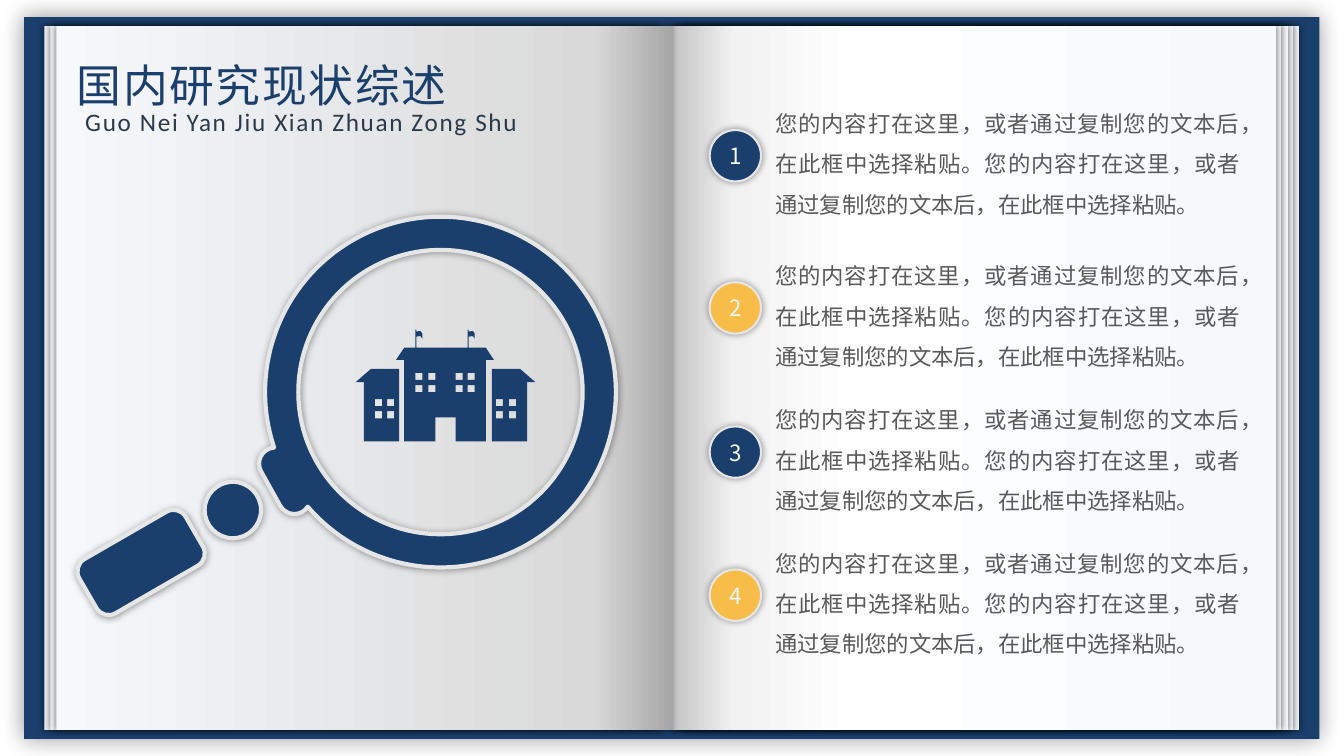
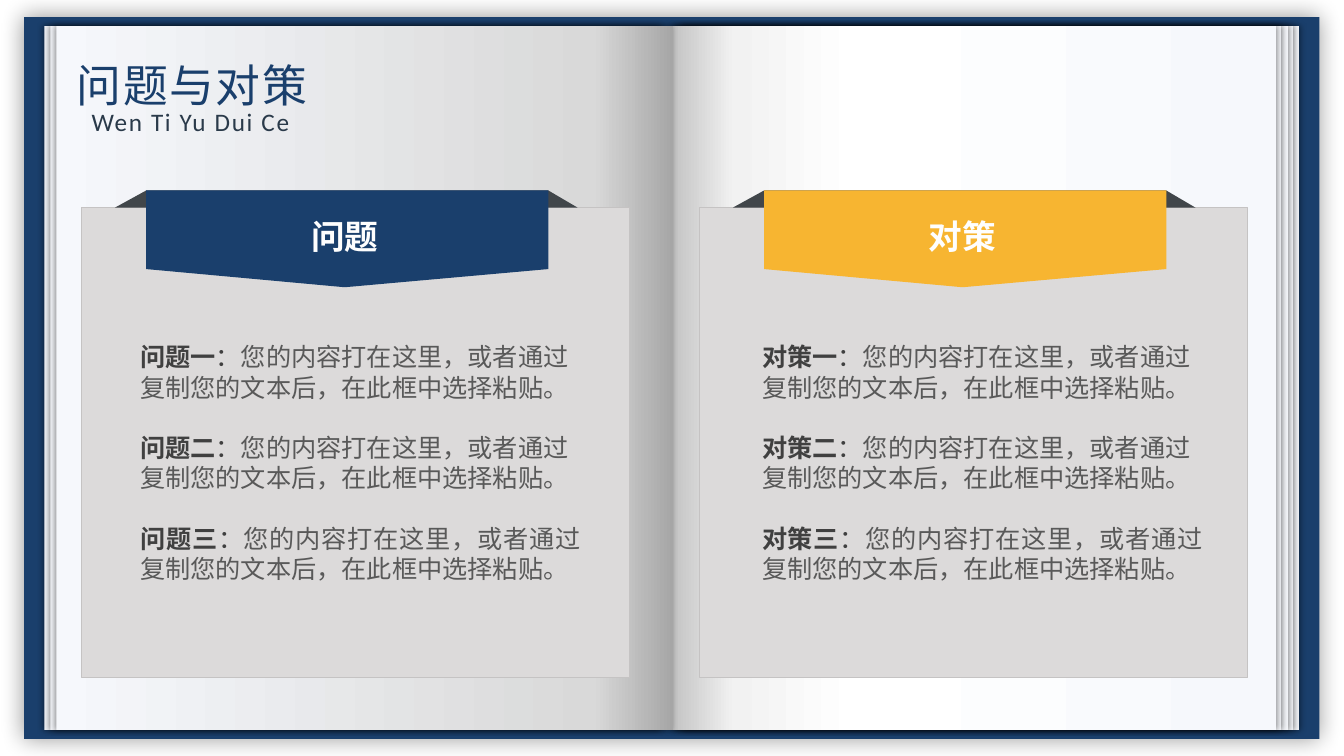
import math
from dataclasses import dataclass
from typing import Any, Optional, Union

import pptx
import pptx.dml.color
import pptx.enum.shapes
import pptx.enum.text
import pptx.oxml.ns
import pptx.util
from lxml import etree

Inches = pptx.util.Inches
Pt = pptx.util.Pt
Align = pptx.enum.text.PP_ALIGN
Anchor = pptx.enum.text.MSO_ANCHOR
Kind = pptx.enum.shapes.MSO_SHAPE
qn = pptx.oxml.ns.qn
Point = tuple[float, float]
Stops = tuple[tuple[int, str], ...]


@dataclass(frozen=True)
class Theme:
    navy: str = "1A3F6C"
    gold: str = "F7B531"
    amber: str = "F8BC49"
    slate: str = "2A3A4A"
    fold: str = "41464A"
    panel: str = "DCDADA"
    edge: str = "C5C3C3"
    rim: str = "E7E6E6"
    dark: str = "404040"
    grey: str = "595959"
    pale: str = "F8F8F8"
    white: str = "FEFEFE"
    cjk: str = "Noto Sans CJK SC"
    latin: str = "Calibri"
    title: int = 32
    head: int = 24
    body: int = 18
    note: int = 16
    leading: float = 1.2
    track: int = 120


@dataclass(frozen=True)
class Curve:
    """Hold the two handles and the end of a cubic curve."""
    spots: tuple[Point, Point, Point]


@dataclass(frozen=True)
class Shade:
    blur: float
    dist: float = 0
    angle: int = 0


@dataclass(frozen=True)
class Page:
    left: float
    width: float
    stops: Stops
    right: bool


@dataclass(frozen=True)
class Item:
    top: float
    fill: str


@dataclass(frozen=True)
class Card:
    left: float
    text: float
    head: str
    fill: str


Ring = list[Union[Point, Curve]]
THEME = Theme()
GLOW = Shade(5)
EDGE: Stops = ((0, "F6F8FC"), (87, "D9D9D9"), (100, "A6A6A6"))
SOFT: Stops = ((0, "F6F8FC"), (62, "FFFFFF"), (89, "F2F2F2"), (100, "D9D9D9"))
LEAF: Stops = ((0, "F6F8FC"), (69, "FFFFFF"), (89, "F2F2F2"), (100, "BFBFBF"))
PAGES = (
    Page(6.77, 6.12, EDGE, True),
    Page(6.71, 6.12, EDGE, True),
    Page(6.66, 6.12, SOFT, True),
    Page(6.67, 6.04, LEAF, True),
    Page(0.44, 6.12, EDGE, False),
    Page(0.5, 6.12, EDGE, False),
    Page(6.62, 6.04, LEAF, True),
    Page(0.56, 6.12, EDGE, False),
)
ITEMS = (
    Item(0.91, THEME.navy),
    Item(2.42, THEME.amber),
    Item(3.85, THEME.navy),
    Item(5.27, THEME.amber),
)
CARDS = (
    Card(0.81, 1.3, "问题", THEME.navy),
    Card(6.94, 7.47, "对策", THEME.gold),
)
PROMPT = "您的内容打在这里，或者通过复制您的文本后，在此框中选择粘贴。"


def rgb(code: str) -> pptx.dml.color.RGBColor:
    return pptx.dml.color.RGBColor.from_string(code)


def place(shape: Any, left: float, top: float, wide: float, high: float) -> None:
    shape.left, shape.top = Inches(left), Inches(top)
    shape.width, shape.height = Inches(wide), Inches(high)


def paint(shape: Any, fill: Optional[str], line: Optional[str] = None,
          weight: float = 0.75, shade: Optional[Shade] = None) -> None:
    shape.shadow.inherit = False
    if fill:
        shape.fill.solid()
        shape.fill.fore_color.rgb = rgb(fill)
    if line:
        shape.line.color.rgb = rgb(line)
        shape.line.width = Pt(weight)
    else:
        shape.line.fill.background()
    if shade:
        effects = shape.element.spPr.find(qn("a:effectLst"))
        cast = etree.SubElement(
            effects, qn("a:outerShdw"), blurRad=str(Pt(shade.blur)),
            dist=str(Pt(shade.dist)), dir=str(shade.angle * 60000),
            algn="ctr", rotWithShape="0")
        tint = etree.SubElement(cast, qn("a:srgbClr"), val="000000")
        etree.SubElement(tint, qn("a:alpha"), val="40000")


def blend(shape: Any, stops: Stops, angle: int) -> None:
    """Fill the shape with a linear gradient of any number of stops."""
    shape.fill.gradient()
    shape.fill.gradient_angle = angle
    marks = shape.element.spPr.find(".//" + qn("a:gsLst"))
    for old in list(marks):
        marks.remove(old)
    for spot, code in stops:
        mark = etree.SubElement(marks, qn("a:gs"), pos=str(spot * 1000))
        etree.SubElement(mark, qn("a:srgbClr"), val=code)


def style(run: Any, size: int, color: str, bold: bool = False,
          face: str = THEME.cjk, track: int = 0) -> None:
    run.font.size, run.font.bold = Pt(size), bold
    run.font.color.rgb = rgb(color)
    run.font.name = face
    props = run.font._element
    etree.SubElement(props, qn("a:ea"), typeface=face)
    if track:
        props.set("spc", str(track))


def plain(para: Any, align: Any, lead: float, before: float = 0) -> None:
    """Drop bullet and indent, then set alignment and exact spacing."""
    props = para._p.get_or_add_pPr()
    props.set("marL", "0")
    props.set("indent", "0")
    etree.SubElement(props, qn("a:buNone"))
    para.alignment = align
    para.line_spacing = Pt(lead)
    para.space_before = Pt(before)


def setup(holder: Any) -> Any:
    frame = holder.text_frame
    frame.word_wrap = True
    frame.auto_size = pptx.enum.text.MSO_AUTO_SIZE.NONE
    frame.vertical_anchor = Anchor.TOP
    return frame


def trace(shapes: Any, rings: list[Ring]) -> Any:
    """Build one outline from closed rings, in inches, and bend its curves."""
    pen: Any = None
    bends: list[int] = []
    count = 0
    for ring in rings:
        spots: list[tuple[int, int]] = []
        for part in ring:
            if isinstance(part, Curve):
                bends.append(count + len(spots))
            group = part.spots if isinstance(part, Curve) else (part,)
            spots += [(Inches(x), Inches(y)) for x, y in group]
        count += len(spots)
        if pen is None:
            pen = shapes.build_freeform(*spots[0])
        else:
            pen.move_to(*spots[0])
        pen.add_line_segments(spots[1:], close=True)
    shape = pen.convert_to_shape()
    route = shape.element.spPr.find(".//" + qn("a:path"))
    steps = [step for step in route if step.tag != qn("a:close")]
    for at in bends:
        bend = etree.Element(qn("a:cubicBezTo"))
        steps[at].addprevious(bend)
        for step in steps[at:at + 3]:
            bend.append(step[0])
            route.remove(step)
    return shape


def arc(x: float, y: float, size: float, start: float, end: float) -> Ring:
    count = math.ceil(abs(end - start) / 90)
    turn = math.radians(end - start) / count
    pull = 4 / 3 * math.tan(turn / 4)

    def spot(angle: float, reach: float = 0) -> Point:
        cos, sin = math.cos(angle), math.sin(angle)
        return x + size * (cos - reach * sin), y + size * (sin + reach * cos)

    first = math.radians(start)
    ring: Ring = [spot(first)]
    for i in range(count):
        a, b = first + turn * i, first + turn * (i + 1)
        ring.append(Curve((spot(a, pull), spot(b, -pull), spot(b))))
    return ring


def grip(x: float, y: float, wide: float, high: float,
         curve: float, tilt: float) -> Ring:
    """Outline a tilted box with round corners."""
    slope = math.radians(tilt)
    ring: Ring = []
    for i, (h, v) in enumerate(((1, 1), (-1, 1), (-1, -1), (1, -1))):
        across, down = h * (wide / 2 - curve), v * (high / 2 - curve)
        mid = (x + across * math.cos(slope) - down * math.sin(slope),
               y + across * math.sin(slope) + down * math.cos(slope))
        ring += arc(*mid, curve, tilt + 90 * i, tilt + 90 * (i + 1))
    return ring


def add_lens(shapes: Any) -> None:
    x, y = 4.37, 3.89
    rim = (arc(x, y, 1.74, 139, -198.4) + arc(2.73, 4.6, 0.16, 266, 150)
           + arc(2.92, 4.94, 0.16, 150, 33))
    lens = trace(shapes, [
        rim, arc(x, y, 1.41, 0, 360), arc(2.31, 5.06, 0.28, 0, 360),
        grip(1.4, 5.58, 1.22, 0.62, 0.14, -30)])
    paint(lens, THEME.navy, THEME.rim, 3, GLOW)


def flag(x: float) -> Ring:
    def wave(*spots: Point) -> Curve:
        a, b, c = ((x + across, down) for across, down in spots)
        return Curve((a, b, c))

    return [(x, 3.45), (x, 3.27), (x + 0.01, 3.27), (x + 0.01, 3.29),
            wave((0.03, 3.3), (0.05, 3.26), (0.07, 3.31)), (x + 0.07, 3.36),
            wave((0.05, 3.31), (0.03, 3.35), (0.01, 3.34)), (x + 0.01, 3.45)]


def add_school(shapes: Any) -> None:
    side = 0.07
    rows = (((3.72, 3.84, 4.92, 5.05), (3.96, 4.08)),
            ((4.12, 4.25, 4.52, 4.64), (3.7, 3.82)))
    panes: list[Ring] = [
        [(x, y), (x + side, y), (x + side, y + side), (x, y + side)]
        for lefts, tops in rows for y in tops for x in lefts]
    east = [(4.88, 3.66), (5.16, 3.66), (5.31, 3.79), (5.23, 3.79),
            (5.23, 4.38), (4.88, 4.38)]
    west = [(8.84 - x, y) for x, y in east]
    hall = flag(4.12) + flag(4.64) + [
        (4.82, 3.45), (4.9, 3.57), (4.82, 3.57), (4.82, 4.38), (4.52, 4.38),
        (4.52, 4.14), (4.32, 4.14), (4.32, 4.38), (4.01, 4.38), (4.01, 3.57),
        (3.93, 3.57), (4.01, 3.45)]
    paint(trace(shapes, panes + [east, west, hall]), THEME.navy)


def add_box(shapes: Any, kind: Any, *spot: float) -> Any:
    return shapes.add_shape(kind, *(Inches(n) for n in spot))


def add_book(deck: Any, slide: Any) -> None:
    """Draw the open book and move it to the master."""
    cover = add_box(slide.shapes, Kind.RECTANGLE, 0.24, 0.17, 12.85, 7.16)
    paint(cover, THEME.navy, shade=Shade(16))
    parts = [cover]
    for page in PAGES:
        leaf = add_box(slide.shapes, Kind.RECTANGLE, page.left, 0.26, page.width, 6.98)
        paint(leaf, None, shade=Shade(4, 1, 0 if page.right else 180))
        blend(leaf, page.stops, 180 if page.right else 0)
        parts.append(leaf)
    tree = deck.slide_master.shapes.element
    for i, part in enumerate(parts):
        tree.insert(2 + i, part.element)


def add_title(slide: Any, text: str, sound: str, left: float, wide: float) -> None:
    title = slide.shapes.title
    place(title, 0.66, 0.52, 4.56, 0.64)
    para = setup(title).paragraphs[0]
    para.text = text
    plain(para, Align.LEFT, THEME.title * THEME.leading)
    style(para.runs[0], THEME.title, THEME.navy, track=THEME.track)
    box = slide.shapes.add_textbox(Inches(left), Inches(1.01), Inches(wide), Inches(0.4))
    box.text_frame.word_wrap = True
    para = box.text_frame.paragraphs[0]
    para.text = sound
    para.alignment = Align.CENTER
    style(para.runs[0], THEME.body, THEME.slate, face=THEME.latin, track=THEME.track)


def add_item(slide: Any, i: int, item: Item) -> None:
    holder = slide.placeholders[i]
    place(holder, 7.59, item.top, 4.82, 1.27)
    para = setup(holder).paragraphs[0]
    para.text = PROMPT * 2
    plain(para, Align.JUSTIFY, THEME.note * THEME.leading * 1.5)
    style(para.runs[0], THEME.note, THEME.grey)
    dot = add_box(slide.shapes, Kind.OVAL, 7.04, item.top + 0.38, 0.51, 0.51)
    paint(dot, item.fill, THEME.rim, 1.5, GLOW)
    dot.text_frame.text = str(i)
    para = dot.text_frame.paragraphs[0]
    para.alignment = Align.CENTER
    style(para.runs[0], THEME.note, THEME.pale)


def add_card(slide: Any, i: int, card: Card) -> None:
    shapes, x = slide.shapes, card.left
    paint(add_box(shapes, Kind.RECTANGLE, x, 2.06, 5.44, 4.66), THEME.panel, THEME.edge)
    left, right, top = x + 0.64, x + 4.63, 1.89
    paint(trace(shapes, [[(left, top), (right, top), (x + 4.92, 2.06), (x + 0.33, 2.06)]]),
          THEME.fold)
    label = trace(shapes, [[(left, top), (right, top), (right, 2.67),
                            (x + 2.61, 2.85), (left, 2.67)]])
    paint(label, card.fill)
    frame = label.text_frame
    frame.margin_right, frame.margin_bottom = Inches(0.15), Inches(0.1)
    frame.vertical_anchor = Anchor.MIDDLE
    frame.text = card.head
    frame.paragraphs[0].alignment = Align.CENTER
    style(frame.paragraphs[0].runs[0], THEME.head, THEME.white, True)

    holder = slide.placeholders[i]
    shapes.element.append(holder.element)
    place(holder, card.text - 0.01, 3.34, 4.57, 2.52)
    frame = setup(holder)
    lead = THEME.body * THEME.leading
    for n, digit in enumerate("一二三"):
        para = frame.add_paragraph() if n else frame.paragraphs[0]
        plain(para, Align.JUSTIFY if n == 2 else Align.LEFT, lead, lead if n else 0)
        for text, color, bold in ((card.head + digit, THEME.dark, True),
                                  ("：", THEME.dark, False), (PROMPT, THEME.grey, False)):
            run = para.add_run()
            run.text = text
            style(run, THEME.body, color, bold)


def main() -> None:
    deck = pptx.Presentation()
    deck.slide_width, deck.slide_height = Inches(40 / 3), Inches(7.5)
    review = deck.slides.add_slide(deck.slide_layouts.get_by_name("Comparison"))
    add_book(deck, review)
    add_title(review, "国内研究现状综述", "Guo Nei Yan Jiu Xian Zhuan Zong Shu", 0.71, 4.56)
    add_lens(review.shapes)
    add_school(review.shapes)
    for i, item in enumerate(ITEMS, 1):
        add_item(review, i, item)
    issues = deck.slides.add_slide(deck.slide_layouts.get_by_name("Two Content"))
    add_title(issues, "问题与对策", "Wen Ti Yu Dui Ce", 0.68, 2.42)
    for i, card in enumerate(CARDS, 1):
        add_card(issues, i, card)
    deck.save("out.pptx")


if __name__ == "__main__":
    main()
